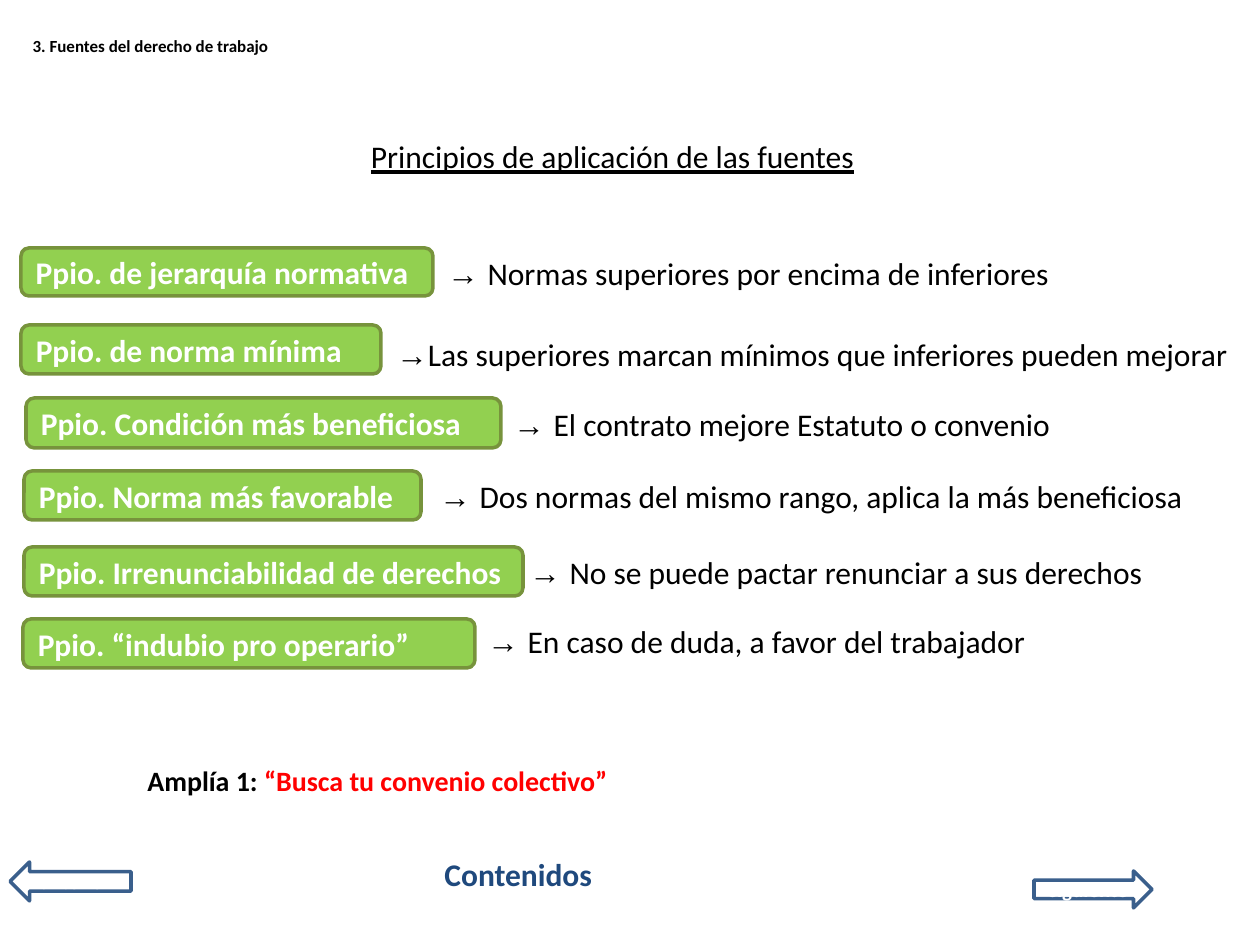
import pptx
import pptx.util
import pptx.dml.color
import pptx.enum.shapes
import pptx.enum.text
from dataclasses import dataclass

PX = 914400 / 126
SHAPE = pptx.enum.shapes.MSO_SHAPE
ALIGN = pptx.enum.text.PP_ALIGN
ANCHOR = pptx.enum.text.MSO_ANCHOR
FIT = pptx.enum.text.MSO_AUTO_SIZE


@dataclass(frozen=True)
class Theme:
    font: str = "Calibri"
    arrow_font: str = "Arial"
    ink: str = "000000"
    white: str = "FFFFFF"
    green: str = "92D050"
    green_line: str = "77933C"
    navigation_line: str = "3A5F8C"
    navy: str = "1F497D"
    red: str = "FF0000"
    title_size: float = 9.7
    navigation_size: int = 12
    activity_size: int = 16
    body_size: int = 18
    line_width: int = 2


THEME = Theme()

# Principle, its badge (left, top, width, height), arrow, meaning, its box
PRINCIPLES = [
    ("Ppio. de jerarquía normativa", (21, 248, 412, 48),
     "→ ", "Normas superiores por encima de inferiores", (435, 248, 791, 50)),
    ("Ppio. de norma mínima", (21, 325, 360, 49),
     "→", "Las superiores marcan mínimos que inferiores pueden mejorar", (384, 329, 862, 88)),
    ("Ppio. Condición más beneficiosa", (26, 398, 475, 50),
     "→ ", "El contrato mejore Estatuto o convenio", (501, 399, 593, 88)),
    ("Ppio. Norma más favorable", (24, 471, 397, 49),
     "→ ", "Dos normas del mismo rango, aplica la más beneficiosa", (427, 471, 781, 88)),
    ("Ppio. Irrenunciabilidad de derechos", (24, 547, 499, 49),
     "→ ", "No se puede pactar renunciar a sus derechos", (517, 547, 690, 88)),
    ("Ppio. “indubio pro operario”", (23, 619, 452, 49),
     "→ ", "En caso de duda, a favor del trabajador", (475, 616, 572, 88)),
]


def emu(lengths):
    return [pptx.util.Emu(round(length * PX)) for length in lengths]


def color(code):
    return pptx.dml.color.RGBColor.from_string(code)


def write(box, text, font=THEME.font, size=THEME.body_size, ink=THEME.ink,
          bold=False, underline=False, align=ALIGN.LEFT):
    """Append a formatted span to the box's first paragraph."""
    para = box.text_frame.paragraphs[0]
    para.alignment = align
    span = para.add_run()
    span.text = text
    span.font.name = font
    span.font.size = pptx.util.Pt(size)
    span.font.color.rgb = color(ink)
    span.font.bold = bold
    span.font.underline = underline


def add_title(page, text, place):
    box = page.shapes.title
    box.left, box.top, box.width, box.height = emu(place)
    box.text_frame.auto_size = FIT.NONE
    box.text_frame.vertical_anchor = ANCHOR.MIDDLE
    write(box, text, size=THEME.title_size, bold=True)


def add_text_box(page, place, wrap=True):
    box = page.shapes.add_textbox(*emu(place))
    box.text_frame.word_wrap = wrap
    box.text_frame.auto_size = FIT.SHAPE_TO_FIT_TEXT
    return box


def add_outlined_shape(page, kind, place, line):
    box = page.shapes.add_shape(kind, *emu(place))
    box.shadow.inherit = False
    box.fill.background()
    box.line.color.rgb = color(line)
    box.line.width = pptx.util.Pt(THEME.line_width)
    box.text_frame.vertical_anchor = ANCHOR.MIDDLE
    return box


def add_badge(page, text, place):
    box = add_outlined_shape(page, SHAPE.ROUNDED_RECTANGLE, place, THEME.green_line)
    box.fill.solid()
    box.fill.fore_color.rgb = color(THEME.green)
    write(box, text, ink=THEME.white, bold=True)


def add_meaning(page, arrow, text, place):
    box = add_text_box(page, place)
    write(box, arrow, font=THEME.arrow_font)
    write(box, text)


def add_navigation_arrow(page, kind, text, place):
    box = add_outlined_shape(page, kind, place, THEME.navigation_line)
    write(box, text, size=THEME.navigation_size, ink=THEME.white, bold=True,
          align=ALIGN.CENTER)


def add_activity(page):
    box = add_text_box(page, (48, 757, 659, 79), wrap=False)
    for text, ink in (("Amplía 1: ", THEME.ink),
                      ("“Busca tu convenio colectivo”", THEME.red)):
        write(box, text, size=THEME.activity_size, ink=ink, bold=True,
              align=ALIGN.CENTER)


def main():
    deck = pptx.Presentation()
    deck.slide_width, deck.slide_height = emu((1260, 945))
    page = deck.slides.add_slide(deck.slide_layouts[5])

    add_title(page, "3. Fuentes del derecho de trabajo", (20, 6, 1134, 79))
    write(add_text_box(page, (193, 131, 839, 50)),
          "Principios de aplicación de las fuentes",
          underline=True, align=ALIGN.CENTER)
    for principle, badge_place, arrow, meaning, meaning_place in PRINCIPLES:
        add_badge(page, principle, badge_place)
        add_meaning(page, arrow, meaning, meaning_place)
    add_activity(page)

    add_navigation_arrow(page, SHAPE.LEFT_ARROW, "anterior", (10, 862, 121, 39))
    write(add_text_box(page, (432, 849, 181, 88)), "Contenidos",
          ink=THEME.navy, bold=True)
    add_navigation_arrow(page, SHAPE.RIGHT_ARROW, "siguiente", (1034, 871, 118, 37))
    deck.save("out.pptx")


if __name__ == "__main__":
    main()
